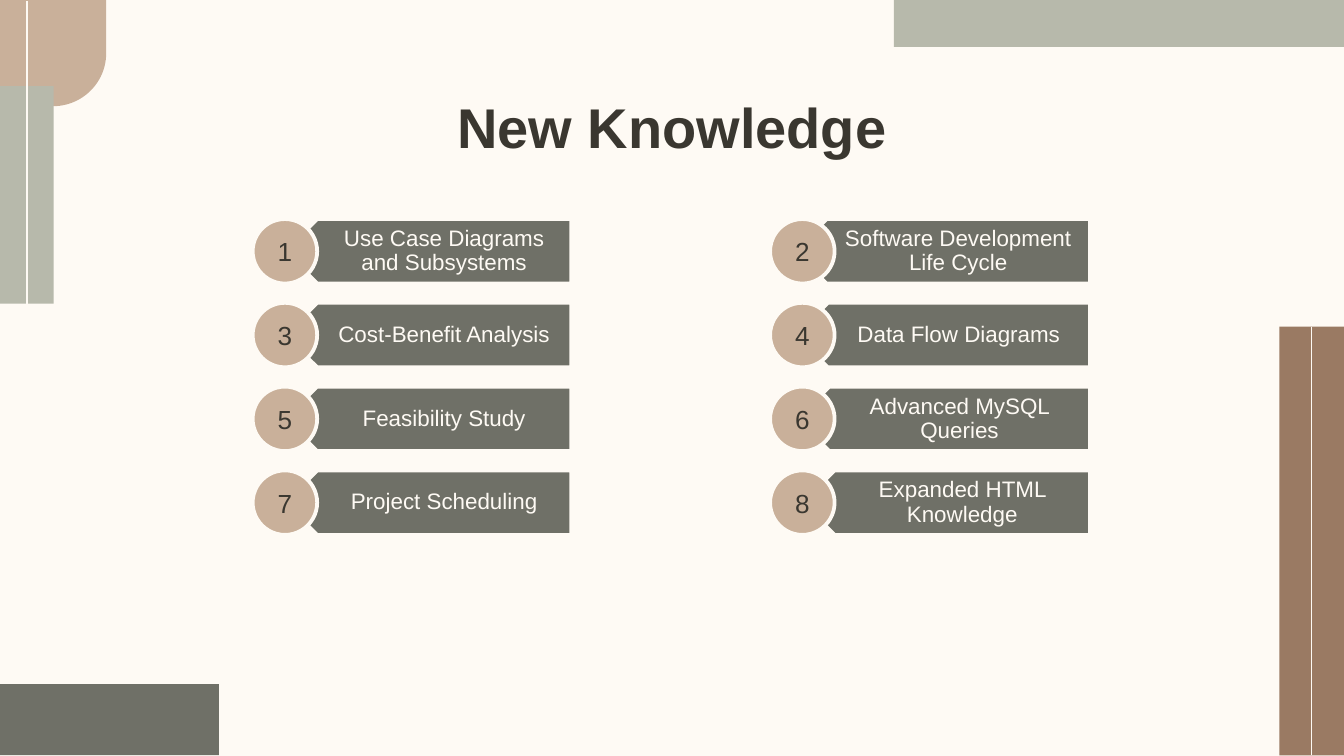
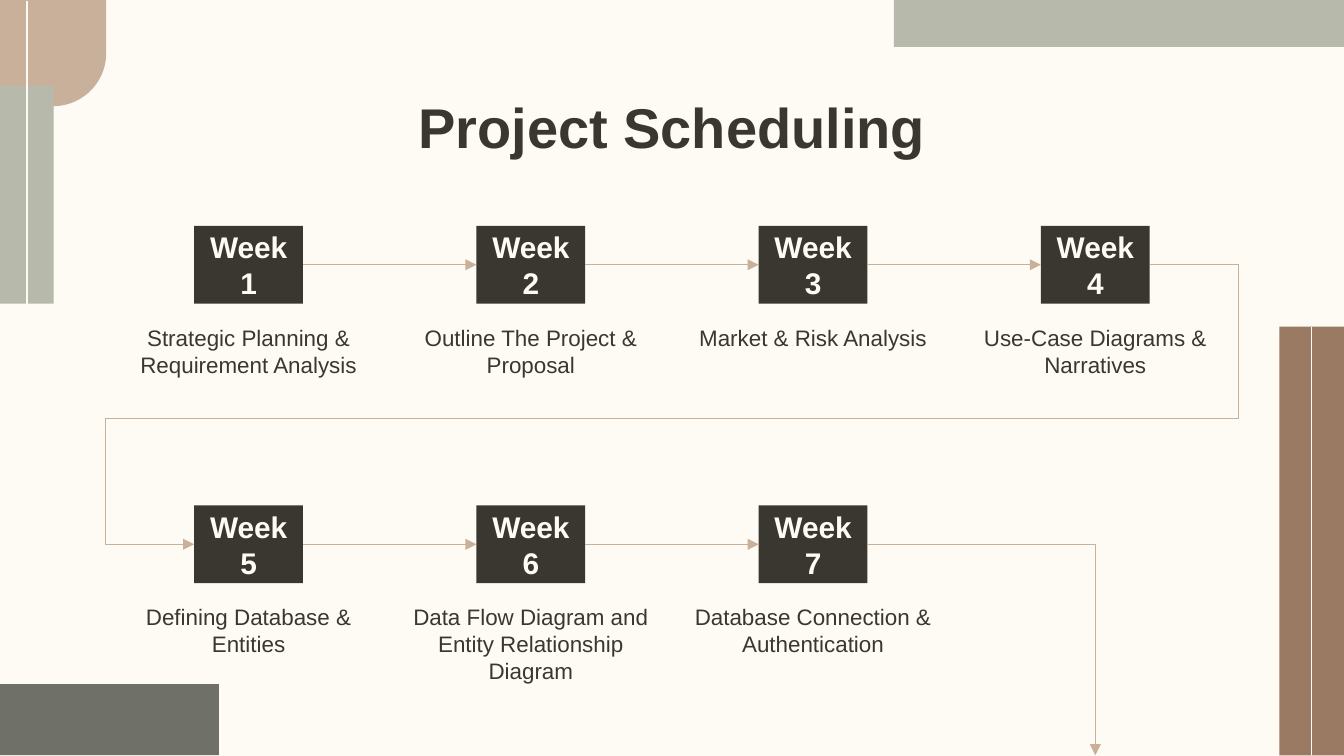
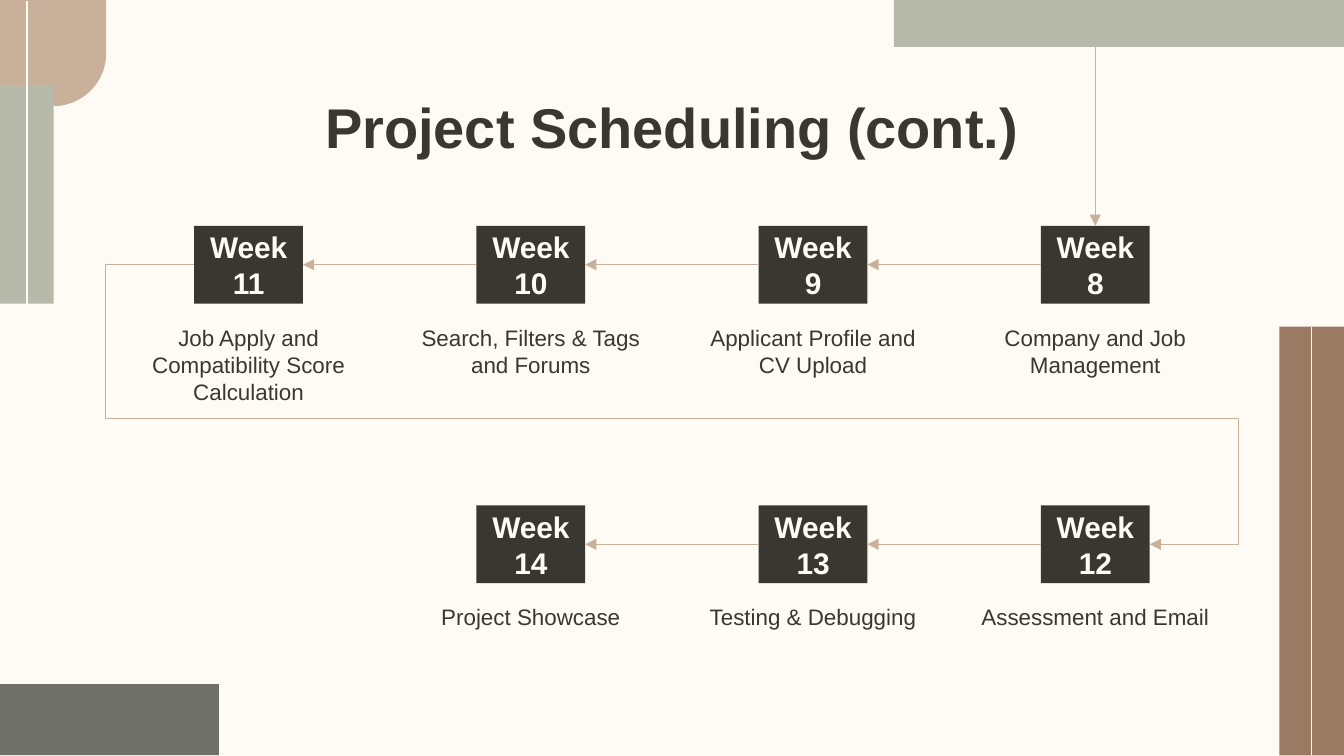
import lxml.etree
import pptx
import pptx.dml.color
import pptx.enum.shapes
import pptx.enum.text
import pptx.oxml.ns
import pptx.shapes.shapetree
import pptx.util

Inches, Pt = pptx.util.Inches, pptx.util.Pt
SHAPE = pptx.enum.shapes.MSO_SHAPE
CONNECTOR = pptx.enum.shapes.MSO_CONNECTOR
ALIGN = pptx.enum.text.PP_ALIGN
ANCHOR = pptx.enum.text.MSO_ANCHOR
qn = pptx.oxml.ns.qn

COLORS = {"cream": "FEFAF4", "ink": "3A3730", "tan": "C9B09A",
          "brown": "9A7A63", "sage": "B7B9AB", "olive": "6F7067"}

# Text styles
TITLE = {"size": Pt(30), "bold": True}
WEEK = {"size": Pt(16), "bold": True}
BODY = {"size": Pt(12), "bold": False}
NUMBER = {"size": Pt(14), "bold": False}

# Connection sites of a rectangle
TOP, LEFT, RIGHT = 0, 1, 3


def rgb(name):
    return pptx.dml.color.RGBColor.from_string(COLORS[name])


def write(shape, text, style, color, anchor=ANCHOR.TOP,
          insets=(0.1, 0.1, 0.1, 0.1), spacing=None):
    """Fill a shape, text box or placeholder with one centred paragraph."""
    tf = shape.text_frame
    tf.word_wrap = True
    tf.auto_size = pptx.enum.text.MSO_AUTO_SIZE.NONE
    tf.vertical_anchor = anchor
    for side, inset in zip(("left", "top", "right", "bottom"), insets):
        setattr(tf, f"margin_{side}", Inches(inset))
    p = tf.paragraphs[0]
    p.text = text
    p.alignment = ALIGN.CENTER
    p.line_spacing = spacing
    for r in p.runs:
        r.font.name = "Arial"
        r.font.color.rgb = rgb(color)
        for name, value in style.items():
            setattr(r.font, name, value)


def add_block(shapes, kind, box, fill, outline=None):
    sp = shapes.add_shape(kind, *map(Inches, box))
    sp.shadow.inherit = False
    sp.fill.solid()
    sp.fill.fore_color.rgb = rgb(fill)
    if outline:
        sp.line.color.rgb = rgb(outline)
        sp.line.width = Pt(2)
    else:
        sp.line.fill.background()
    return sp


def add_text(s, box, text, **options):
    sp = s.shapes.add_textbox(*map(Inches, box))
    write(sp, text, BODY, **options)


def add_line(shapes, start, end, color, kind=CONNECTOR.STRAIGHT, arrow=False):
    line = shapes.add_connector(kind, *map(Inches, start + end))
    line.line.color.rgb = rgb(color)
    line.line.width = Pt(0.75)
    spPr = line.element.spPr
    if arrow:
        lxml.etree.SubElement(spPr.find(qn("a:ln")), qn("a:tailEnd"), type="triangle")
    lxml.etree.SubElement(spPr, qn("a:effectLst"))
    return line


def set_bends(line, preset, *bends):
    """Choose the elbow preset and place its bends, in percent."""
    geom = line.element.spPr.find(qn("a:prstGeom"))
    geom.set("prst", preset)
    for old in geom.findall(qn("a:avLst")):
        geom.remove(old)
    guides = lxml.etree.SubElement(geom, qn("a:avLst"))
    for i, bend in enumerate(bends, 1):
        lxml.etree.SubElement(guides, qn("a:gd"), name=f"adj{i}",
                              fmla=f"val {round(bend * 1000)}")


def decorate_layout(layout):
    """Background, corner blocks and fine lines shared by all slides."""
    layout.background.fill.solid()
    layout.background.fill.fore_color.rgb = rgb("cream")
    shapes = pptx.shapes.shapetree.SlideShapes(layout.shapes.element, layout)
    corner = add_block(shapes, SHAPE.ROUND_1_RECTANGLE, (0, 0, 0.79, 0.79), "tan")
    corner.adjustments[0] = 0.5
    corner.rotation = 90
    for box, fill in (((9.52, 2.43, 0.48, 3.19), "brown"),
                      ((6.65, 0, 3.35, 0.35), "sage"),
                      ((0, 5.09, 1.63, 0.53), "olive"),
                      ((0, 0.64, 0.4, 1.62), "sage")):
        add_block(shapes, SHAPE.RECTANGLE, box, fill)
    add_line(shapes, (9.76, 2.43), (9.76, 5.62), "cream")
    add_line(shapes, (0.2, 2.26), (0.2, 0.01), "cream")


def add_slide(prs, layout, title):
    s = prs.slides.add_slide(layout)
    sp = s.shapes.title
    place = {"left": 0.79, "top": 0.59, "width": 8.42, "height": 0.63}
    for name, value in place.items():
        setattr(sp, name, Inches(value))
    write(sp, title, TITLE, "ink")
    return s


def add_topic(s, number, text, circle_left, bar_left, bar_right, top):
    """A numbered circle in front of a pointed bar."""
    size = 0.48
    width = bar_right - bar_left
    bar = add_block(s.shapes, SHAPE.PENTAGON, (bar_left, top, width, size), "olive", "cream")
    bar.rotation = 180
    add_text(s, (bar_left + 0.12, top, width - 0.12, size), text, color="cream",
             anchor=ANCHOR.MIDDLE, insets=(0.21, 0.05, 0.09, 0.05), spacing=0.9)
    circle = add_block(s.shapes, SHAPE.OVAL, (circle_left, top, size, size), "tan", "cream")
    write(circle, str(number), NUMBER, "ink", ANCHOR.MIDDLE, (0.1, 0.05, 0.1, 0.05))


def add_week(s, week, caption, col, row):
    center, top = 1.85 + 2.1 * col, 1.68 + 2.08 * row
    width, caption_width = 0.81, 1.98
    add_text(s, (center - caption_width / 2, top + 0.63, caption_width, 0.41),
             caption, color="ink")
    box = add_block(s.shapes, SHAPE.RECTANGLE, (center - width / 2, top, width, 0.58), "ink")
    write(box, f"Week {week}", WEEK, "cream", ANCHOR.MIDDLE)
    return box


def add_schedule(s, first_week, captions, leftward=False):
    """Two rows of weeks, each joined to the next; returns the boxes."""
    boxes = []
    for i, caption in enumerate(captions):
        row, col = divmod(i, 4)
        boxes.append(add_week(s, first_week + i, caption, 3 - col if leftward else col, row))
    leave, enter = (LEFT, RIGHT) if leftward else (RIGHT, LEFT)
    for i, (a, b) in enumerate(zip(boxes, boxes[1:])):
        wraps = i == 3
        kind = CONNECTOR.ELBOW if wraps else CONNECTOR.STRAIGHT
        line = add_line(s.shapes, (0, 0), (0, 0), "tan", kind, arrow=True)
        line.begin_connect(a, leave)
        line.end_connect(b, enter)
        if wraps:
            set_bends(line, "bentConnector5", -9.3, 55, 109.3)
    return boxes


def build_topics(prs, layout):
    s = add_slide(prs, layout, "New Knowledge")
    topics = ["Use Case Diagrams and Subsystems", "Software Development Life Cycle",
              "Cost-Benefit Analysis", "Data Flow Diagrams",
              "Feasibility Study", "Advanced MySQL Queries",
              "Project Scheduling", "Expanded HTML Knowledge"]
    right_bar_lefts = [5.91, 5.92, 5.93, 5.97]
    first_top, last_top = 1.63, 3.5
    for i, text in enumerate(topics):
        row, col = divmod(i, 2)
        edges = (5.73, right_bar_lefts[row], 8.11) if col else (1.88, 2.12, 4.25)
        add_topic(s, i + 1, text, *edges, first_top + (last_top - first_top) * row / 3)


def build_first_weeks(prs, layout):
    s = add_slide(prs, layout, "Project Scheduling")
    add_schedule(s, 1, [
        "Strategic Planning & Requirement Analysis", "Outline The Project & Proposal",
        "Market & Risk Analysis", "Use-Case Diagrams & Narratives",
        "Defining Database & Entities",
        "Data Flow Diagram and Entity Relationship Diagram",
        "Database Connection & Authentication"])
    # Leads down to the next slide
    line = add_line(s.shapes, (6.46, 4.05), (8.15, 5.62), "tan", CONNECTOR.ELBOW, arrow=True)
    set_bends(line, "bentConnector3", 100)


def build_last_weeks(prs, layout):
    s = add_slide(prs, layout, "Project Scheduling (cont.)")
    boxes = add_schedule(s, 8, [
        "Company and Job Management", "Applicant Profile and CV Upload",
        "Search, Filters & Tags\vand Forums",
        "Job Apply and Compatibility Score Calculation",
        "Assessment and Email", "Testing & Debugging", "Project Showcase"], leftward=True)
    # Comes down from the previous slide
    line = add_line(s.shapes, (8.15, 0), (8.15, 1.68), "tan", arrow=True)
    line.end_connect(boxes[0], TOP)


def main():
    prs = pptx.Presentation()
    prs.slide_width = Inches(10)
    prs.slide_height = prs.slide_width * 9 // 16
    layout = prs.slide_layouts[5]
    decorate_layout(layout)
    build_topics(prs, layout)
    build_first_weeks(prs, layout)
    build_last_weeks(prs, layout)
    prs.save("out.pptx")


if __name__ == "__main__":
    main()
